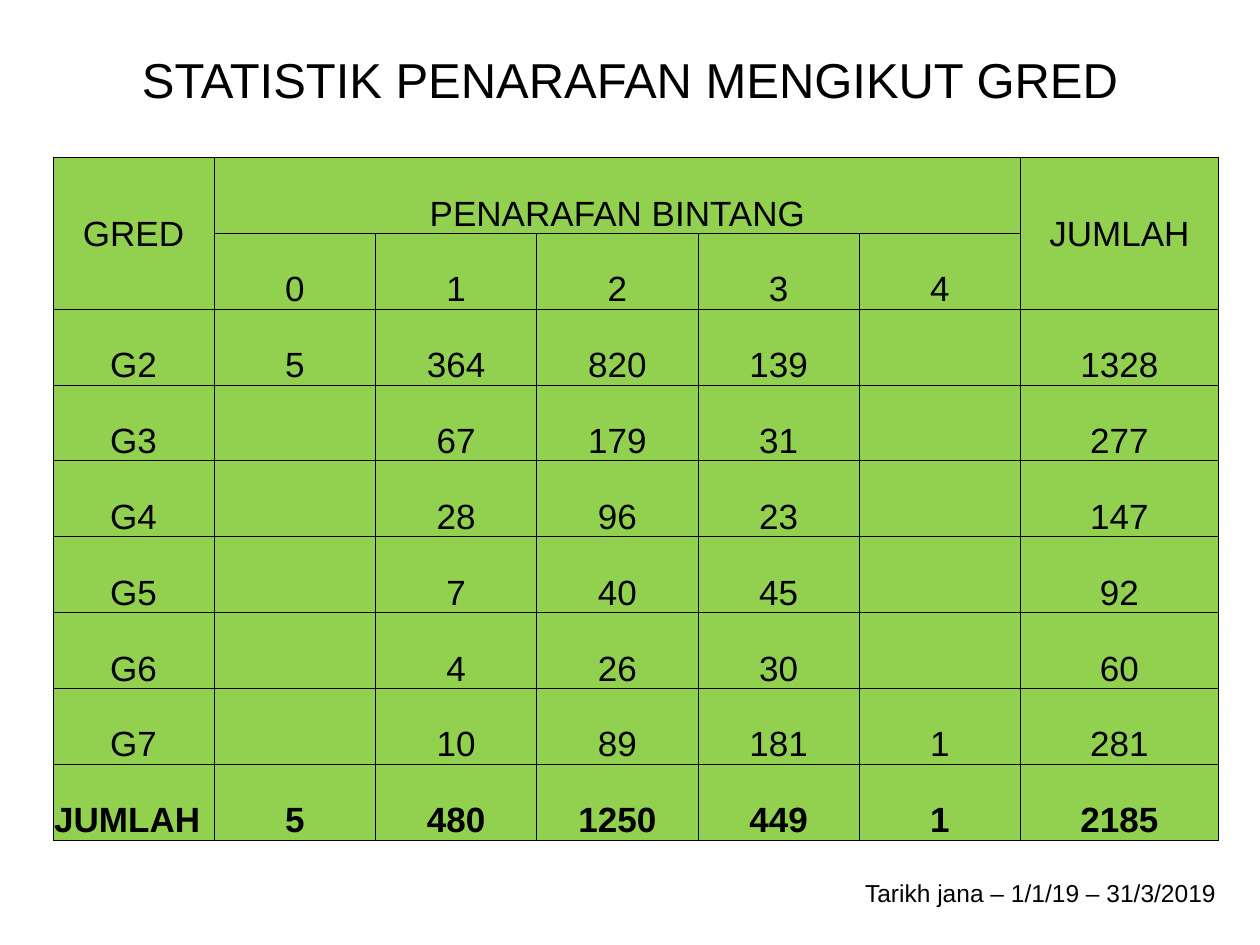
from lxml.etree import SubElement
from pptx import Presentation
from pptx.dml.color import RGBColor as RGB
from pptx.enum.text import MSO_ANCHOR as Anchor, PP_ALIGN as Align
from pptx.oxml.ns import qn
from pptx.util import Inches, Pt

TITLE = "STATISTIK PENARAFAN MENGIKUT GRED"
PERIOD = "Tarikh jana – 1/1/19 – 31/3/2019"
GRADE, RATING, TOTAL = "GRED", "PENARAFAN BINTANG", "JUMLAH"
STARS = [0, 1, 2, 3, 4]
COUNTS = {
    "G2": (5, 364, 820, 139, 0),
    "G3": (0, 67, 179, 31, 0),
    "G4": (0, 28, 96, 23, 0),
    "G5": (0, 7, 40, 45, 0),
    "G6": (0, 4, 26, 30, 0),
    "G7": (0, 10, 89, 181, 1),
}
THEME = dict(font="Arial", ink=RGB(0, 0, 0), fill=RGB(0x92, 0xD0, 0x50),
             border="000000", border_width=Pt(0.5), title=28, table=20, period=14)


def write(frame, words, size, align=Align.CENTER, bold=False):
    line = frame.paragraphs[0]
    line.text = words
    line.alignment = align
    line.font.name = THEME["font"]
    line.font.size = Pt(THEME[size])
    line.font.bold = bold
    line.font.color.rgb = THEME["ink"]


def place(box, left, top, width, height):
    box.left, box.top, box.width, box.height = map(Inches, (left, top, width, height))


def style(cell):
    props = cell._tc.get_or_add_tcPr()
    for side in ("lnL", "lnR", "lnT", "lnB"):
        edge = SubElement(props, qn(f"a:{side}"), w=str(THEME["border_width"]))
        SubElement(SubElement(edge, qn("a:solidFill")), qn("a:srgbClr"), val=THEME["border"])
    cell.fill.solid()
    cell.fill.fore_color.rgb = THEME["fill"]
    cell.margin_left = cell.margin_right = cell.margin_top = Inches(0.01)
    cell.margin_bottom = 0
    cell.vertical_anchor = Anchor.BOTTOM


deck = Presentation()
deck.slide_width, deck.slide_height = Inches(10), Inches(7.5)
slide = deck.slides.add_slide(deck.slide_layouts[5])

title = slide.shapes.title
place(title, 0.5, 0, 9, 1.25)
title.text_frame.vertical_anchor = Anchor.MIDDLE
write(title.text_frame, TITLE, "title")

period = slide.shapes.add_textbox(*map(Inches, (6.08, 6.92, 3.67, 0.34)))
period.text_frame.word_wrap = True
write(period.text_frame, PERIOD, "period", Align.RIGHT)

star_totals = [sum(column) for column in zip(*COUNTS.values())]
rows = [
    [GRADE, RATING] + [""] * (len(STARS) - 1) + [TOTAL],
    [""] + STARS + [""],
    *([grade] + [n or "" for n in counts] + [sum(counts)] for grade, counts in COUNTS.items()),
    [TOTAL] + star_totals + [sum(star_totals)],
]
last_row, last_col = len(rows) - 1, len(rows[0]) - 1
table_width, total_width = Inches(9.25), Inches(1.57)
frame = slide.shapes.add_table(len(rows), len(rows[0]), Inches(0.42), Inches(1.25),
                               table_width, Inches(5.42))
table = frame.table
for c, column in enumerate(table.columns):
    column.width = total_width if c == last_col else (table_width - total_width) // last_col

for r, row in enumerate(rows):
    for c, value in enumerate(row):
        cell = table.cell(r, c)
        style(cell)
        align = Align.LEFT if (r, c) == (last_row, 0) else Align.CENTER
        write(cell.text_frame, str(value), "table", align, r == last_row)

for c in (0, last_col):
    table.cell(0, c).merge(table.cell(1, c))
    table.cell(0, c).vertical_anchor = Anchor.MIDDLE
table.cell(0, 1).merge(table.cell(0, len(STARS)))

deck.save("out.pptx")
